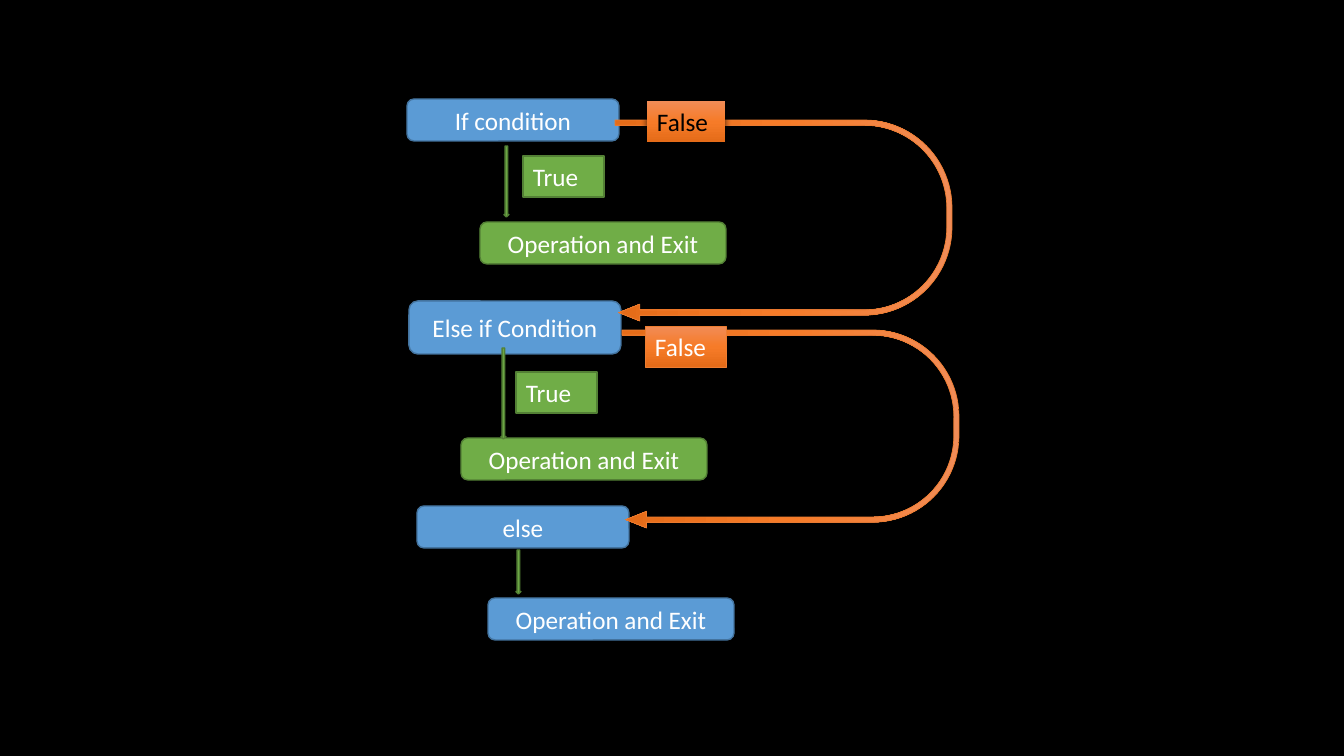
from copy import deepcopy

from lxml import etree
from pptx import Presentation
from pptx.dml.color import RGBColor
from pptx.enum.shapes import MSO_SHAPE
from pptx.enum.text import MSO_ANCHOR, MSO_AUTO_SIZE, PP_ALIGN
from pptx.oxml.ns import qn
from pptx.util import Pt

PX = 12192000 / 1344
ROUNDED = MSO_SHAPE.FLOWCHART_ALTERNATE_PROCESS
RECTANGLE = MSO_SHAPE.RECTANGLE
DOWN_ARROW = MSO_SHAPE.DOWN_ARROW
UTURN_ARROW = MSO_SHAPE.U_TURN_ARROW
MIDDLE, TOP = MSO_ANCHOR.MIDDLE, MSO_ANCHOR.TOP
CENTER, LEFT = PP_ALIGN.CENTER, PP_ALIGN.LEFT
FIT_TEXT = MSO_AUTO_SIZE.SHAPE_TO_FIT_TEXT

BLACK = RGBColor(0x00, 0x00, 0x00)
WHITE = RGBColor(0xFF, 0xFF, 0xFF)
BLUE = RGBColor(0x5B, 0x9B, 0xD5)
BLUE_EDGE = RGBColor(0x43, 0x73, 0x9E)
GREEN = RGBColor(0x70, 0xAD, 0x47)
GREEN_EDGE = RGBColor(0x53, 0x80, 0x35)
ORANGE_EDGE = RGBColor(0xED, 0x7D, 0x31)
ORANGES = (RGBColor(0xF1, 0x8C, 0x57), RGBColor(0xF6, 0x7B, 0x28), RGBColor(0xE5, 0x6C, 0x19))


def px(length):
    """Turn pixels into EMU."""
    return round(length * PX)


def add_block(slide, kind, box, fill, edge, edge_width=1):
    """Add a shadowless preset shape; fill is a colour or a tuple of gradient colours."""
    block = slide.shapes.add_shape(kind, *map(px, box))
    block.shadow.inherit = False
    if isinstance(fill, RGBColor):
        block.fill.solid()
        block.fill.fore_color.rgb = fill
    else:
        paint_gradient(block.fill, fill)
    if edge is None:
        block.line.fill.background()
    else:
        block.line.color.rgb = edge
        block.line.width = Pt(edge_width)
    return block


def paint_gradient(fill, colours):
    """Fill from top to bottom with three evenly spaced colours."""
    fill.gradient()
    fill.gradient_angle = 270
    first = fill.gradient_stops[0]._gs
    first.addnext(deepcopy(first))
    for index, (stop, colour) in enumerate(zip(fill.gradient_stops, colours)):
        stop.position = index / 2
        stop.color.rgb = colour


def write(block, words, colour=WHITE, align=CENTER, anchor=MIDDLE):
    """Write one line of text into a block."""
    frame = block.text_frame
    frame.word_wrap = True
    frame.vertical_anchor = anchor
    if anchor == TOP:
        frame.auto_size = FIT_TEXT
    line = frame.paragraphs[0]
    line.alignment = align
    run = line.add_run()
    run.text = words
    run.font.name = "Calibri"
    run.font.size = Pt(18)
    run.font.color.rgb = colour


def cast_shadow(block):
    """Give a block a soft black shadow below it."""
    effects = block._element.spPr.find(qn("a:effectLst"))
    shadow = etree.SubElement(effects, qn("a:outerShdw"), blurRad=str(Pt(4.5)),
                              dist=str(Pt(1.5)), dir="5400000", algn="ctr", rotWithShape="0")
    colour = etree.SubElement(shadow, qn("a:srgbClr"), val="000000")
    etree.SubElement(colour, qn("a:alpha"), val="63000")


def add_step(slide, box, condition, outcome_at, arrow_at, arrow_length, true_at=None):
    """Add a condition with its outcome, down arrow and optional True tag."""
    left, top = box[:2]
    write(add_block(slide, ROUNDED, box, BLUE, BLUE_EDGE), condition)
    outcome_colours = (GREEN, GREEN_EDGE) if true_at else (BLUE, BLUE_EDGE)
    outcome_box = (left + outcome_at[0], top + outcome_at[1], 246, 42)
    write(add_block(slide, ROUNDED, outcome_box, *outcome_colours), "Operation and Exit")
    arrow_box = (left + arrow_at[0], top + arrow_at[1], 5, arrow_length)
    add_block(slide, DOWN_ARROW, arrow_box, GREEN, GREEN_EDGE)
    if true_at:
        true_box = (left + true_at[0], top + true_at[1], 81, 41)
        true_tag = add_block(slide, RECTANGLE, true_box, GREEN, GREEN_EDGE)
        write(true_tag, "True", WHITE, LEFT, TOP)


def add_false_loop(slide, box, tag_at, tag_width, tag_colour, tag_edge):
    """Add a U-turn arrow filling the box, with its False tag."""
    left, top, width, height = box
    shift = (width - height) / 2
    loop = add_block(slide, UTURN_ARROW, (left + shift, top - shift, height, width),
                     ORANGES, ORANGE_EDGE, 0.5)
    loop.rotation = 90
    for index, value in enumerate((0.026, 0.042, 0.105, 0.437, 0.989)):
        loop.adjustments[index] = value
    tag_box = (left + tag_at[0], top + tag_at[1], tag_width, 41)
    false_tag = add_block(slide, RECTANGLE, tag_box, ORANGES, tag_edge, 0.5)
    write(false_tag, "False", tag_colour, LEFT, TOP)
    if tag_edge is None:
        cast_shadow(false_tag)


def main():
    """Build the if / else-if / else flow chart."""
    deck = Presentation()
    deck.slide_width, deck.slide_height = px(1344), px(756)
    slide = deck.slides.add_slide(deck.slide_layouts[6])
    slide.background.fill.solid()
    slide.background.fill.fore_color.rgb = BLACK

    add_step(slide, (407, 99, 212, 42), "If condition", (73, 123), (97, 47), 71, (116, 57))
    add_step(slide, (409, 301, 212, 53), "Else if Condition", (52, 137), (92, 47), 91, (107, 71))
    add_step(slide, (417, 506, 212, 42), "else", (71, 92), (99, 44), 44)

    add_false_loop(slide, (615, 120, 337, 201), (32, -19), 78, BLACK, None)
    add_false_loop(slide, (622, 330, 337, 198), (23, -4), 81, WHITE, ORANGE_EDGE)
    deck.save("out.pptx")


if __name__ == "__main__":
    main()
